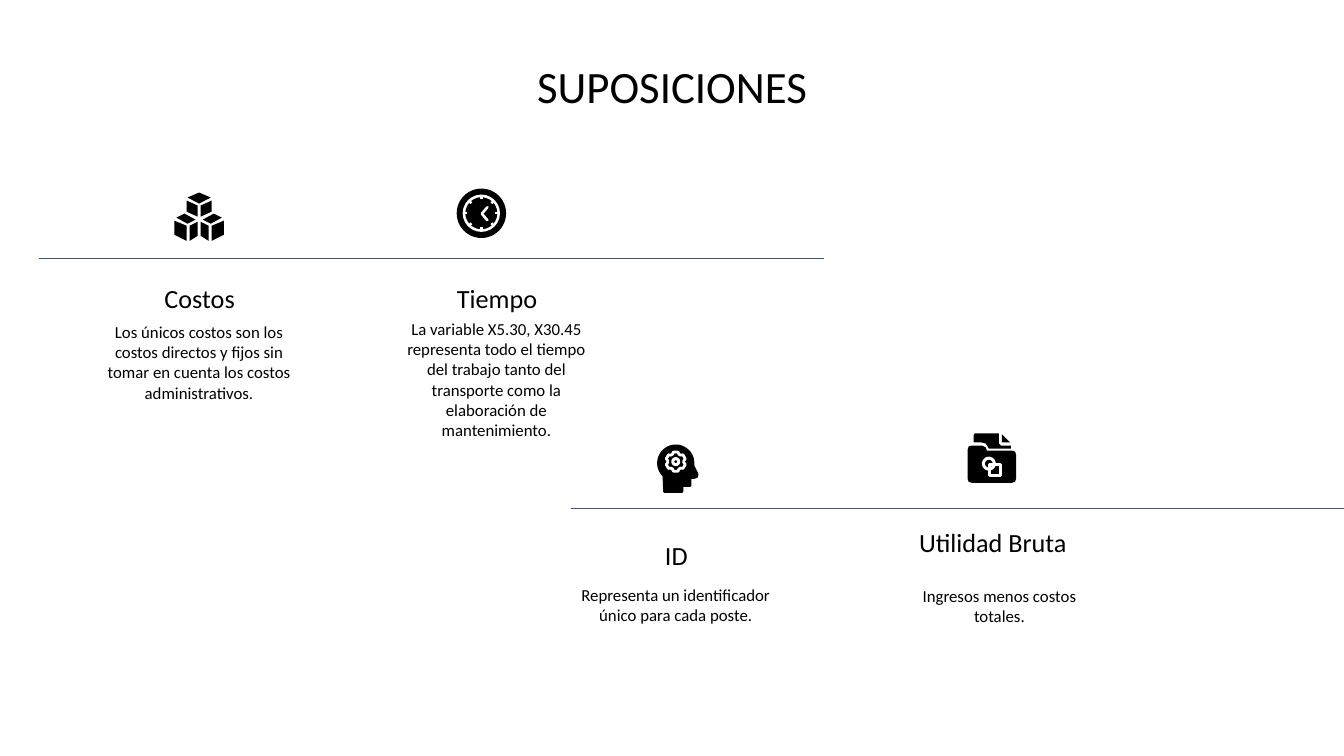
from math import cos, radians, sin

from lxml.etree import SubElement
from pptx import Presentation
from pptx.dml.color import RGBColor
from pptx.enum.shapes import MSO_CONNECTOR, MSO_SHAPE
from pptx.enum.text import MSO_ANCHOR, PP_ALIGN
from pptx.oxml.ns import qn
from pptx.util import Pt

BLACK, WHITE, SLATE = "000000", "FFFFFF", "44546A"
GRID = Pt(0.72)  # one step of the grid the icons are drawn on


def color(hex_code):
    return RGBColor.from_string(hex_code)


# Text
def write(frame, text, size, anchor=MSO_ANCHOR.TOP, spacing=1.0):
    frame.word_wrap = True
    frame.vertical_anchor = anchor
    frame.margin_left = frame.margin_right = Pt(9.6)
    frame.margin_top = frame.margin_bottom = Pt(9.6)
    frame.text = text
    paragraph = frame.paragraphs[0]
    paragraph.alignment = PP_ALIGN.CENTER
    paragraph.line_spacing = spacing
    paragraph.font.name = "Calibri"
    paragraph.font.size = Pt(size)
    paragraph.font.color.rgb = color(BLACK)


def add_title(slide, text, left, top, width, height):
    title = slide.shapes.title
    title.left, title.top = Pt(left), Pt(top)
    title.width, title.height = Pt(width), Pt(height)
    write(title.text_frame, text, 32, spacing=0.9)


# Icon parts: left and top in points, everything else in grid steps
def paint(part, outline):
    part.shadow.inherit = False
    if outline:
        part.fill.background()
        part.line.color.rgb = color(WHITE)
        part.line.width = int(GRID * outline)
    else:
        part.fill.solid()
        part.fill.fore_color.rgb = color(BLACK)
        part.line.fill.background()


def polygon(slide, left, top, points, outline=0):
    corners = [(int(x * GRID), int(y * GRID)) for x, y in points]
    builder = slide.shapes.build_freeform(*corners[0], scale=1.0)
    builder.add_line_segments(corners[1:], close=True)
    paint(builder.convert_to_shape(Pt(left), Pt(top)), outline)


def preset(slide, left, top, kind, center, size, outline=0):
    x, y = (int((c - size / 2) * GRID) for c in center)
    part = slide.shapes.add_shape(kind, Pt(left) + x, Pt(top) + y,
                                  int(size * GRID), int(size * GRID))
    paint(part, outline)


def around(center, radius, degrees):
    angle = radians(degrees)
    return center[0] + radius * cos(angle), center[1] + radius * sin(angle)


# Icons
def cubes_icon(slide, left, top):
    upper_lid = [(13, 5), (24.5, 0), (36, 5), (24.5, 11)]
    half = [
        [(12, 8), (23, 13), (23, 24), (12, 19)],
        [(2, 25), (10, 21), (21, 27), (13, 31)],
        [(0, 28), (12, 33), (12, 48), (0, 42)],
        [(15, 33), (23, 29), (23, 43), (15, 48)],
    ]
    mirrored = [[(49 - x, y) for x, y in face] for face in half]
    for face in [upper_lid] + half + mirrored:
        polygon(slide, left, top, face)


def clock_icon(slide, left, top):
    middle = (24.5, 24.5)
    preset(slide, left, top, MSO_SHAPE.OVAL, middle, 49)
    preset(slide, left, top, MSO_SHAPE.OVAL, middle, 34.5, outline=2.5)
    for degrees in range(0, 360, 45):
        tick = [around(middle, 14, degrees), around(middle, 17, degrees)]
        polygon(slide, left, top, tick, outline=2.5)
    hands = [(30.5, 18.5), (25, 25), (30.5, 31.5), (25, 25)]
    polygon(slide, left, top, hands, outline=2.5)


def head_icon(slide, left, top):
    skull = [around((18.5, 18.5), 18.5, a) for a in range(135, 361, 9)]
    face = [(37, 21), (40.5, 28), (41, 30), (40, 33), (37, 34), (34, 34),
            (34, 41), (33, 42), (26, 42), (26, 47), (25, 48),
            (7, 48), (6, 47)]
    polygon(slide, left, top, skull + face)
    hub = (18.5, 17)
    gear = [around(hub, radius, tooth + shift)
            for tooth in range(30, 390, 60)
            for shift, radius in ((-13, 9.8), (13, 9.8), (24, 8), (36, 8))]
    polygon(slide, left, top, gear, outline=2.8)
    preset(slide, left, top, MSO_SHAPE.OVAL, hub, 6, outline=3)


def folder_icon(slide, left, top):
    fold = [(34, 1), (42, 9), (34, 9)]
    paper = [(6, 2), (7, 0), (31, 0), (31, 10), (33, 12), (43, 12),
             (43, 15), (21, 15), (20, 13), (18, 10), (14, 9), (6, 9)]
    folder = [(0, 16), (1, 13), (4, 12), (14, 12), (18, 14), (19, 17),
              (44, 17), (47, 18), (48, 21), (48, 45), (47, 48), (44, 49),
              (4, 49), (1, 48), (0, 45)]
    for outline in (fold, paper, folder):
        polygon(slide, left, top, outline)
    preset(slide, left, top, MSO_SHAPE.OVAL, (21, 30), 11, outline=3)
    preset(slide, left, top, MSO_SHAPE.RECTANGLE, (27, 36), 11, outline=3)


# One assumption: heading and description, placed from the heading's corner
def add_assumption(slide, left, top, heading, description, offset):
    blocks = [
        (0, 0, 187.2, 44.6, heading, 18.7, MSO_ANCHOR.BOTTOM, 0.9),
        (*offset, 154.8, 105.1, description, 12, MSO_ANCHOR.TOP, 1.0),
    ]
    for dx, dy, width, height, *content in blocks:
        box = slide.shapes.add_textbox(Pt(left + dx), Pt(top + dy),
                                       Pt(width), Pt(height))
        write(box.text_frame, *content)


def add_rule(slide, left, top, width):
    rule = slide.shapes.add_connector(MSO_CONNECTOR.STRAIGHT, Pt(left),
                                      Pt(top), Pt(left + width), Pt(top))
    rule.line.color.rgb = color(SLATE)
    rule.line.width = Pt(0.75)
    SubElement(rule._element.spPr, qn("a:effectLst"))


# heading, description, heading corner, description offset, icon, icon corner
ASSUMPTIONS = [
    ("Costos", "Los únicos costos son los costos directos y fijos sin tomar "
     "en cuenta los costos administrativos.",
     (49, 189.7), (15.8, 30.6), cubes_icon, (124.6, 137.5)),
    ("Tiempo", "La variable X5.30, X30.45 representa todo el tiempo del "
     "trabajo tanto del transporte como la elaboración de mantenimiento.",
     (261.4, 189.3), (15.8, 28.8), clock_icon, (326.2, 134.7)),
    ("ID", "Representa un identificador único para cada poste.",
     (389.5, 373), (15.8, 35.3), head_icon, (469.4, 317.5)),
    ("Utilidad Bruta", "Ingresos menos costos totales.",
     (615.6, 363.6), (20.9, 45.4), folder_icon, (691.2, 309.6)),
]

presentation = Presentation()
presentation.slide_width, presentation.slide_height = Pt(960), Pt(540)
slide = presentation.slides.add_slide(presentation.slide_layouts[5])

add_title(slide, "SUPOSICIONES", 206.6, 36.7, 547.2, 99.4)
add_rule(slide, 28.1, 184.7, 560.2)
add_rule(slide, 408.2, 363.4, 551.8)
for heading, description, corner, offset, icon, icon_corner in ASSUMPTIONS:
    add_assumption(slide, *corner, heading, description, offset)
    icon(slide, *icon_corner)

presentation.save("out.pptx")
